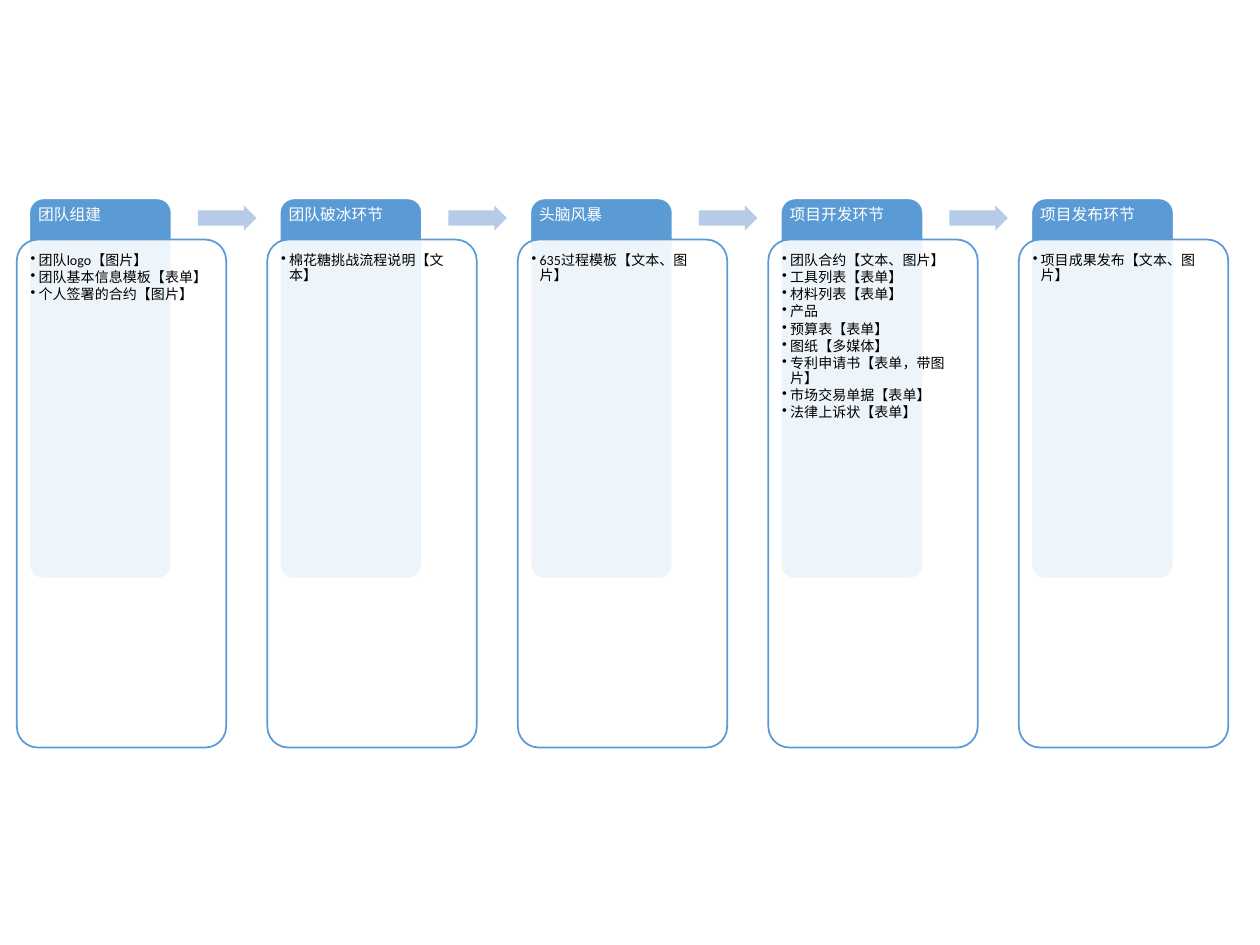
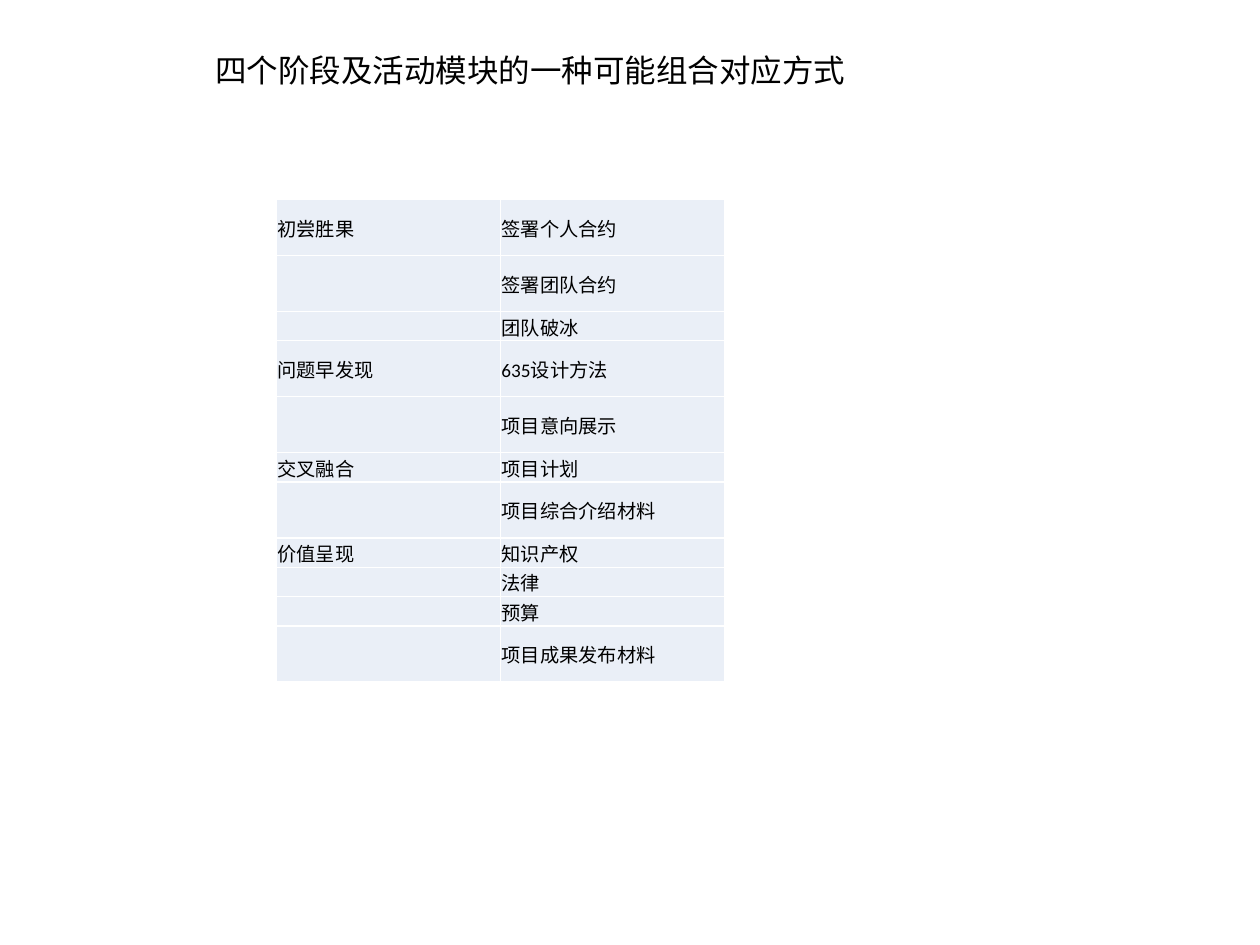
import pptx
import pptx.util
import pptx.dml.color
import pptx.enum.shapes
import pptx.enum.text
import pptx.oxml.ns
import lxml.etree

Cm = pptx.util.Cm
Pt = pptx.util.Pt
KIND = pptx.enum.shapes.MSO_SHAPE
MIDDLE = pptx.enum.text.MSO_ANCHOR.MIDDLE
qn = pptx.oxml.ns.qn

BLUE, PALE, ICE = "5B9BD5", "B5CBE7", "EAEFF7"
WHITE, BLACK = "FFFFFF", "000000"


def paint(target, code):
    """Give a fill, line fill or font a solid colour."""
    if hasattr(target, "solid"):
        target.solid()
        target = target.fore_color
    else:
        target = target.color
    target.rgb = pptx.dml.color.RGBColor.from_string(code)


def apply(target, values):
    for name, value in values.items():
        setattr(target, name, value)


def child(node, tag, **attrs):
    return lxml.etree.SubElement(node, qn(tag), attrs)


def inset(left, top, right, bottom):
    return {"margin_left": Cm(left), "margin_top": Cm(top),
            "margin_right": Cm(right), "margin_bottom": Cm(bottom)}


class Deck:
    FACE = "Calibri"

    def __init__(self, wide, high):
        self.prs = pptx.Presentation()
        apply(self.prs, {"slide_width": Cm(wide), "slide_height": Cm(high)})
        self.slide = None

    def page(self):
        self.slide = self.prs.slides.add_slide(self.prs.slide_layouts[6])
        paint(self.slide.background.fill, WHITE)

    def shape(self, kind, box, fill, line=None, adjust=(), alpha=None):
        shape = self.slide.shapes.add_shape(kind, *map(Cm, box))
        shape.shadow.inherit = False
        paint(shape.fill, fill)
        for i, value in enumerate(adjust):
            shape.adjustments[i] = value
        if alpha:
            tone = shape._element.spPr.find(qn("a:solidFill"))[0]
            child(tone, "a:alpha", val=str(alpha * 1000))
        if line:
            paint(shape.line.fill, line)
            shape.line.width = Pt(1)
        else:
            shape.line.fill.background()

    def label(self, par, text, size, color=BLACK):
        run = par.add_run()
        run.text = text
        apply(run.font, {"name": self.FACE, "size": Pt(size)})
        paint(run.font, color)

    def text(self, box, lines, size, color=BLACK, pad=None, space=None, bullet=False):
        frame = self.slide.shapes.add_textbox(*map(Cm, box)).text_frame
        apply(frame, {"word_wrap": True, **(pad or {})})
        for i, line in enumerate(lines):
            par = frame.add_paragraph() if i else frame.paragraphs[0]
            apply(par, space or {})
            if bullet:
                par.level = 1
                props = par._p.get_or_add_pPr()
                hang = Cm(0.16)
                props.set("marL", str(int(hang)))
                props.set("indent", str(-int(hang)))
                child(props, "a:buChar", char="•")
            self.label(par, line, size, color)

    def cell(self, cell, text, size):
        apply(cell, {"vertical_anchor": MIDDLE, **inset(0.02, 0.02, 0.02, 0)})
        props = cell._tc.get_or_add_tcPr()
        for side in "LRTB":
            edge = child(props, "a:ln" + side, w=str(int(Pt(1))))
            child(child(edge, "a:solidFill"), "a:srgbClr", val=WHITE)
        paint(cell.fill, ICE)
        par = cell.text_frame.paragraphs[0]
        if text:
            self.label(par, text, size)
        else:
            child(par._p, "a:endParaRPr", sz=str(size * 100))

    def table(self, left, top, width, rows, highs, size):
        count = len(rows[0])
        table = self.slide.shapes.add_table(
            len(rows), count, Cm(left), Cm(top),
            Cm(width * count), Cm(sum(highs))).table
        apply(table, {"first_row": False, "horz_banding": False})
        for col in table.columns:
            col.width = Cm(width)
        for row, high, words in zip(table.rows, highs, rows):
            row.height = Cm(high)
            for cell, word in zip(row.cells, words):
                self.cell(cell, word, size)


deck = Deck(25.4, 19.05)

# Slide 1: five steps and what each one hands in
STEPS = [
    ("团队组建", ["团队logo【图片】", "团队基本信息模板【表单】", "个人签署的合约【图片】"]),
    ("团队破冰环节", ["棉花糖挑战流程说明【文本】"]),
    ("头脑风暴", ["635过程模板【文本、图片】"]),
    ("项目开发环节", ["团队合约【文本、图片】", "工具列表【表单】", "材料列表【表单】",
                "产品", "预算表【表单】", "图纸【多媒体】",
                "专利申请书【表单，带图片】", "市场交易单据【表单】",
                "法律上诉状【表单】"]),
    ("项目发布环节", ["项目成果发布【文本、图片】"]),
]
STEP = 5.05
deck.page()
for i, (head, items) in enumerate(STEPS):
    x = 0.34 + i * STEP
    # Header tab
    deck.shape(KIND.ROUNDED_RECTANGLE, (x + 0.25, 4, 2.87, 7.67), BLUE, WHITE, [0.1])
    deck.text((x + 0.25, 4, 2.87, 0.84), [head], 9, WHITE, inset(0.18, 0.18, 0.18, 0.1),
              {"line_spacing": 0.9, "space_after": Pt(3.2)})
    # Card with its list
    deck.shape(KIND.ROUNDED_RECTANGLE, (x, 4.83, 4.22, 10.24), WHITE, BLUE, [0.1], 90)
    deck.text((x + 0.12, 4.95, 3.97, 9.99), items, 8, BLACK, inset(*[0.16] * 4),
              {"line_spacing": 0.9, "space_after": Pt(1.2)}, bullet=True)
    # Arrow to the next step
    if i < len(STEPS) - 1:
        deck.shape(KIND.RIGHT_ARROW, (x + 3.65, 4.14, 1.18, 0.51), PALE, adjust=[0.6, 0.5])

# Slide 2: stages and their modules
STAGES = [
    ("初尝胜果", ["签署个人合约", "签署团队合约", "团队破冰"]),
    ("问题早发现", ["635设计方法", "项目意向展示"]),
    ("交叉融合", ["项目计划", "项目综合介绍材料"]),
    ("价值呈现", ["知识产权", "法律", "预算", "项目成果发布材料"]),
]
rows = [("" if i else stage, part)
        for stage, parts in STAGES for i, part in enumerate(parts)]
highs = [1.13 if len(part) > 4 else 0.59 for _, part in rows]
deck.page()
deck.table(5.57, 4.02, 4.52, rows, highs, 11)
deck.text((4.09, 0.91, 14.27, 1.02), ["四个阶段及活动模块的一种可能组合对应方式"], 18)

deck.prs.save("out.pptx")
